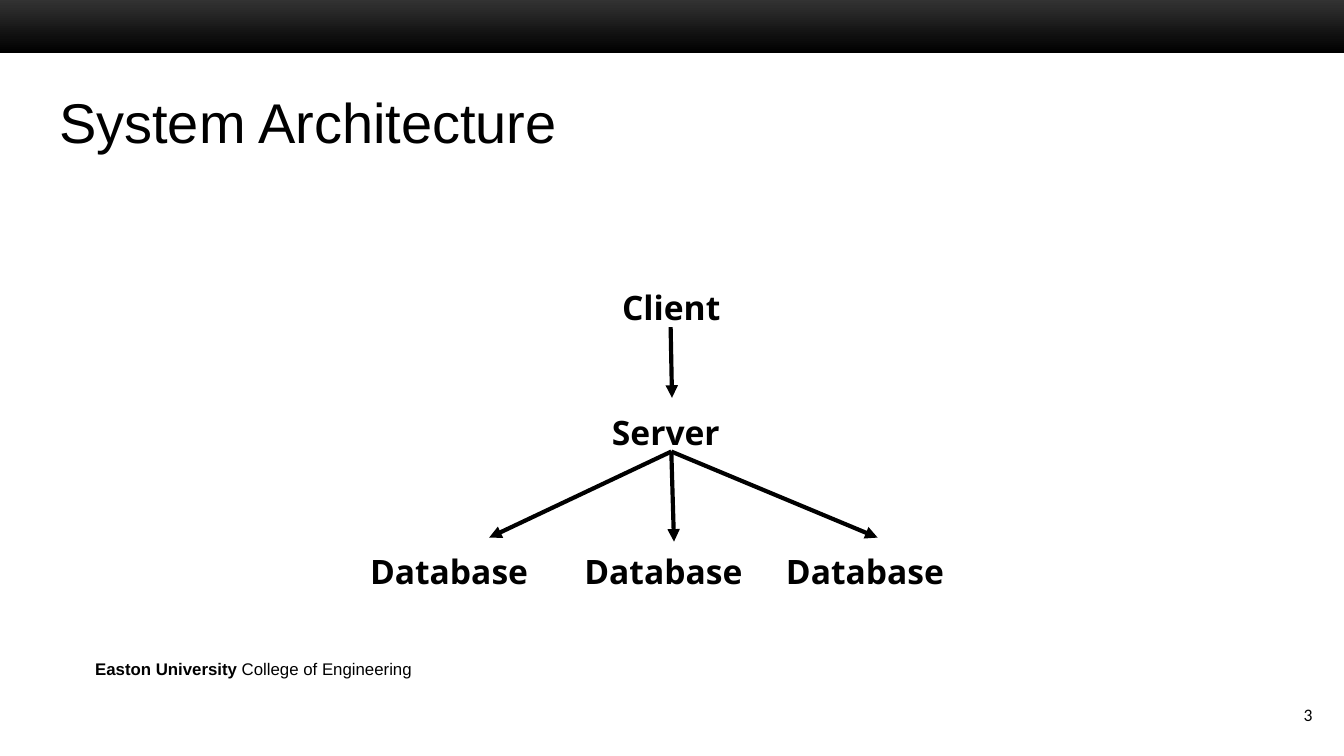
from lxml import etree
from pptx import Presentation
from pptx.dml.color import RGBColor
from pptx.enum.shapes import MSO_CONNECTOR, MSO_SHAPE
from pptx.enum.text import MSO_ANCHOR, MSO_AUTO_SIZE, PP_ALIGN
from pptx.oxml.ns import qn
from pptx.util import Pt

RECTANGLE = MSO_SHAPE.RECTANGLE
STRAIGHT = MSO_CONNECTOR.STRAIGHT
TOP, MIDDLE, BOTTOM = MSO_ANCHOR.TOP, MSO_ANCHOR.MIDDLE, MSO_ANCHOR.BOTTOM
LEFT, RIGHT = PP_ALIGN.LEFT, PP_ALIGN.RIGHT
NO_RESIZE = MSO_AUTO_SIZE.NONE

EMU_PER_PX = 4572  # 200 px to the inch
COLOURS = {"ink": "000000", "band_top": "333333"}
TITLE_LAYOUT = 5


def px(*lengths):
    return [length * EMU_PER_PX for length in lengths]


class SlideBuilder:
    def __init__(self, slide):
        self.slide = slide
        self.shapes = slide.shapes

    def colour(self, name):
        return RGBColor.from_string(COLOURS[name])

    def style(self, font, size, face="Arial", bold=None):
        font.name, font.size, font.bold = face, Pt(size), bold
        font.color.rgb = self.colour("ink")

    def frame(self, box, inset, anchor):
        frame = box.text_frame
        frame.word_wrap = True
        frame.auto_size = NO_RESIZE
        frame.vertical_anchor = anchor
        frame.margin_left = frame.margin_right = px(20)[0]
        frame.margin_top = frame.margin_bottom = px(inset)[0]
        return frame

    def band(self, area):
        band = self.shapes.add_shape(RECTANGLE, *px(*area))
        band.shadow.inherit = False
        band.line.fill.background()
        band.fill.gradient()
        band.fill.gradient_angle = 270
        for stop, name in zip(band.fill.gradient_stops, ("band_top", "ink")):
            stop.color.rgb = self.colour(name)

    def title(self, area, text):
        title = self.shapes.title
        title.left, title.top, title.width, title.height = px(*area)
        paragraph = self.frame(title, 20, BOTTOM).paragraphs[0]
        paragraph.text = text
        paragraph.alignment = LEFT
        paragraph.line_spacing = 0.9
        self.style(paragraph.font, 30)

    def text(self, area, text, size, face, bold=None, align=LEFT, anchor=TOP):
        box = self.shapes.add_textbox(*px(*area))
        paragraph = self.frame(box, 20, anchor).paragraphs[0]
        paragraph.text = text
        paragraph.alignment = align
        self.style(paragraph.font, size, face, bold)

    def footer(self, area, spans):
        box = self.shapes.add_textbox(*px(*area))
        paragraph = self.frame(box, 10, TOP).paragraphs[0]
        for text, bold in spans:
            span = paragraph.add_run()
            span.text = text
            self.style(span.font, 9, bold=bold)

    def arrow(self, start, end):
        arrow = self.shapes.add_connector(STRAIGHT, *px(*start, *end))
        arrow.line.color.rgb = self.colour("ink")
        arrow.line.width = Pt(2.25)
        outline = arrow.line._get_or_add_ln()
        etree.SubElement(outline, qn("a:tailEnd"), type="triangle")
        etree.SubElement(arrow._element.spPr, qn("a:effectLst"))


def main():
    deck = Presentation()
    deck.slide_width, deck.slide_height = px(2000, 1125)
    page = SlideBuilder(deck.slides.add_slide(deck.slide_layouts[TITLE_LAYOUT]))

    # Band, title, footer and page number
    page.band((0, -1, 2000, 80))
    page.title((68, 70, 1864, 182), "System Architecture")
    page.footer((122, 971, 1020, 50),
                [("Easton University", True), (" College of Engineering", False)])
    page.text((1853, 1021, 120, 86), "3", 9.4, "Calibri", align=RIGHT, anchor=MIDDLE)

    # Tiers of the system
    nodes = [
        ("Client", (906, 407, 190, 110)),
        ("Server", (891, 593, 218, 86)),
        *[("Database", (left, 800, 312, 86)) for left in (531, 850, 1150)],
    ]
    for name, area in nodes:
        page.text(area, name, 18, "Open Sans", bold=True)

    # Client to server, then server to each database
    page.arrow((998, 487), (1000, 592))
    for end in ((728, 800), (1003, 806), (1306, 800)):
        page.arrow((999, 672), end)

    deck.save("out.pptx")


if __name__ == "__main__":
    main()
